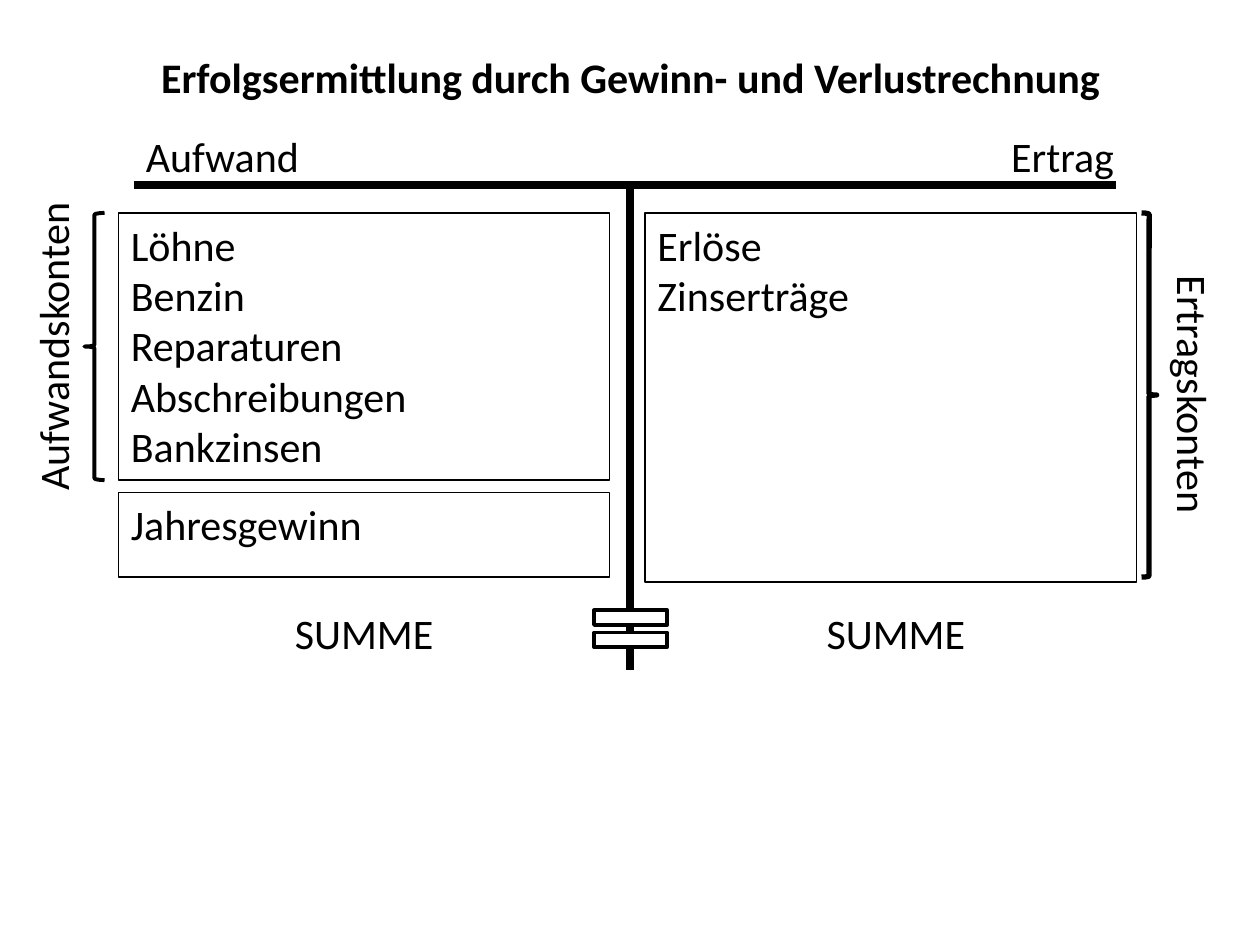
from dataclasses import dataclass

from lxml.etree import SubElement
from pptx import Presentation
from pptx.dml.color import RGBColor
from pptx.enum.shapes import MSO_CONNECTOR as Connector
from pptx.enum.shapes import MSO_SHAPE as Shape
from pptx.enum.text import MSO_ANCHOR as Anchor
from pptx.enum.text import PP_ALIGN as Align
from pptx.oxml.ns import qn
from pptx.util import Inches, Pt

BLACK, WHITE = "000000", "FFFFFF"
FONT, TEXT_SIZE = "Calibri", 24
LEFT, TOP = 0.94, 1.69
CENTER, BAR_TOP = 5, 1.47
COLUMN_WIDTH, LINE_HEIGHT = 3.9, 0.5


@dataclass
class TextBox:
    lines: list[str]
    left: float
    top: float
    width: float
    height: float = LINE_HEIGHT
    align: Align = Align.LEFT
    bold: bool = False
    rotation: float = 0
    border: float = 0


@dataclass
class Symbol:
    kind: Shape
    left: float
    top: float
    width: float
    height: float
    weight: float
    fill: str = ""


def color(value: str) -> RGBColor:
    return RGBColor.from_string(value)


def set_line(line, weight: float) -> None:
    line.color.rgb = color(BLACK)
    line.width = Pt(weight)


def draw_text(page, item: TextBox) -> None:
    box = page.shapes.add_textbox(Inches(item.left), Inches(item.top),
                                  Inches(item.width), Inches(item.height))
    box.rotation = item.rotation
    if item.border:
        set_line(box.line, item.border)
    frame = box.text_frame
    frame.word_wrap = True
    frame.vertical_anchor = Anchor.TOP
    for index, line in enumerate(item.lines):
        para = frame.add_paragraph() if index else frame.paragraphs[0]
        para.alignment = item.align
        span = para.add_run()
        span.text = line
        span.font.name = FONT
        span.font.size = Pt(TEXT_SIZE)
        span.font.bold = item.bold
        span.font.color.rgb = color(BLACK)


def draw_symbol(page, item: Symbol) -> None:
    shape = page.shapes.add_shape(item.kind, Inches(item.left), Inches(item.top),
                                  Inches(item.width), Inches(item.height))
    shape.shadow.inherit = False
    set_line(shape.line, item.weight)
    if item.fill:
        shape.fill.solid()
        shape.fill.fore_color.rgb = color(item.fill)
    else:
        shape.fill.background()


def draw_bar(page, x1: float, y1: float, x2: float, y2: float) -> None:
    bar = page.shapes.add_connector(Connector.STRAIGHT, Inches(x1), Inches(y1),
                                    Inches(x2), Inches(y2))
    set_line(bar.line, 4.5)
    SubElement(bar._element.spPr, qn("a:effectLst"))


TITLE = TextBox(["Erfolgsermittlung durch Gewinn- und Verlustrechnung"],
                0.28, 0.36, 9.45, align=Align.CENTER, bold=True)

ACCOUNTS = [
    TextBox(["Löhne", "Benzin", "Reparaturen", "Abschreibungen", "Bankzinsen"],
            LEFT, TOP, COLUMN_WIDTH, 2.12, border=0.75),
    TextBox(["Erlöse", "Zinserträge"], 5.12, TOP, COLUMN_WIDTH, 2.93, border=0.75),
    TextBox(["Jahresgewinn"], LEFT, 3.91, COLUMN_WIDTH, 0.67, border=0.75),
]

LABELS = [
    TextBox(["Aufwand"], 1.06, 0.99, 3.94),
    TextBox(["Ertrag"], CENTER, 0.99, 3.94, align=Align.RIGHT),
    TextBox(["SUMME"], LEFT, 4.77, COLUMN_WIDTH, align=Align.CENTER),
    TextBox(["SUMME"], 5.16, 4.77, COLUMN_WIDTH, align=Align.CENTER),
    TextBox(["Aufwandskonten"], -1.16, 2.5, 3.15, align=Align.CENTER, rotation=270),
    TextBox(["Ertragskonten"], 7.9, 2.88, 3.15, align=Align.CENTER, rotation=90),
]

SYMBOLS = [
    Symbol(Shape.MATH_EQUAL, 4.61, 4.74, 0.79, 0.5, 2, WHITE),
    Symbol(Shape.LEFT_BRACE, 0.67, TOP, 0.16, 2.12, 2.25),
    Symbol(Shape.RIGHT_BRACE, 9.06, TOP, 0.12, 2.89, 3),
]


def main() -> None:
    deck = Presentation()
    deck.slide_width, deck.slide_height = Inches(10), Inches(7.5)
    page = deck.slides.add_slide(deck.slide_layouts[6])

    # Title and T-account bars
    draw_text(page, TITLE)
    draw_bar(page, 1.06, BAR_TOP, 8.86, BAR_TOP)
    draw_bar(page, CENTER, BAR_TOP, CENTER, 5.32)

    # Account boxes and labels
    for item in ACCOUNTS + LABELS:
        draw_text(page, item)

    # Equal sign and braces
    for symbol in SYMBOLS:
        draw_symbol(page, symbol)

    deck.save("out.pptx")


if __name__ == "__main__":
    main()
